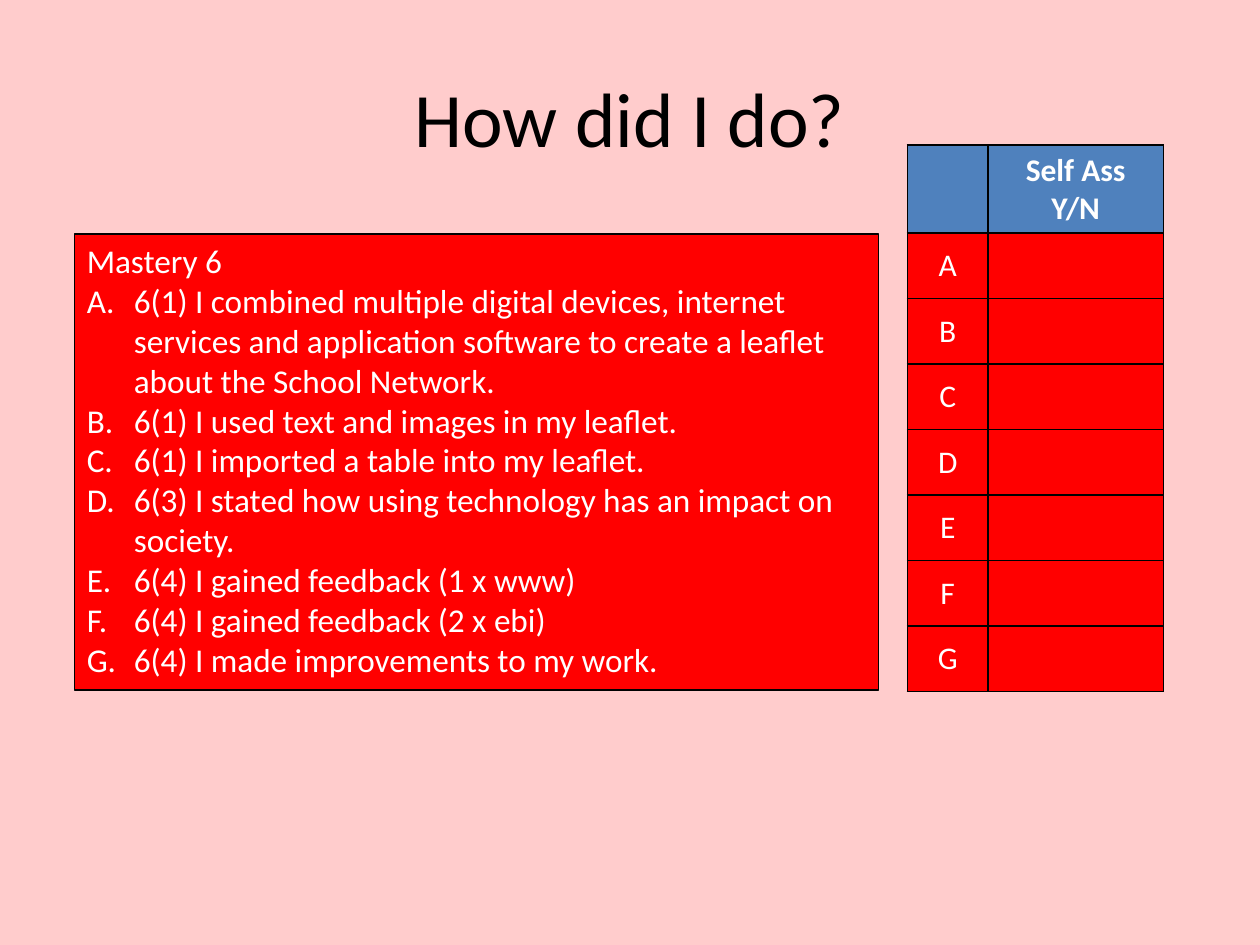
import dataclasses
from typing import Any

import lxml.etree
import pptx
import pptx.dml.color
import pptx.enum.shapes
import pptx.enum.text
import pptx.oxml.ns
import pptx.util

Cm = pptx.util.Cm
Pt = pptx.util.Pt
RGB = pptx.dml.color.RGBColor
ALIGN = pptx.enum.text.PP_ALIGN
ANCHOR = pptx.enum.text.MSO_ANCHOR

PINK = RGB(0xFF, 0xCC, 0xCC)
RED = RGB(0xFF, 0x00, 0x00)
BLUE = RGB(0x4F, 0x81, 0xBD)
WHITE = RGB(0xFF, 0xFF, 0xFF)
BLACK = RGB(0x00, 0x00, 0x00)
FACE = "Calibri"


@dataclasses.dataclass(frozen=True)
class Box:
    """Place and size in centimetres."""
    left: float
    top: float
    width: float
    height: float

    def emu(self) -> tuple:
        """Give the four lengths as Cm values."""
        return tuple(Cm(size) for size in dataclasses.astuple(self))


@dataclasses.dataclass(frozen=True)
class Goal:
    """One mastery statement with its level."""
    level: int
    text: str


TITLE = Box(1.27, 0.76, 22.86, 3.18)
PANEL = Box(1.5, 4.72, 16.21, 9.19)
GRID = Box(18.29, 2.92, 5.16, 10.97)
COLS = (1.63, 3.53)
HEAD, ROW = 1.73, 1.32
INDENT = Cm(0.95)
GOALS = (
    Goal(1, "I combined multiple digital devices, internet services and "
            "application software to create a leaflet about the School Network."),
    Goal(1, "I used text and images in my leaflet."),
    Goal(1, "I imported a table into my leaflet."),
    Goal(3, "I stated how using technology has an impact on society."),
    Goal(4, "I gained feedback (1 x www)"),
    Goal(4, "I gained feedback (2 x ebi)"),
    Goal(4, "I made improvements to my work."),
)


def style(item: Any, **values: Any) -> None:
    """Set each named attribute on the item."""
    for name, value in values.items():
        setattr(item, name, value)


def write(frame: Any, lines: list[str], align: Any, size: float,
          color: RGB, bold: bool = False) -> None:
    """Fill a text frame with one paragraph per line."""
    frame.text = "\n".join(lines)
    for para in frame.paragraphs:
        para.alignment = align
        for run in para.runs:
            style(run.font, name=FACE, size=Pt(size), bold=bold)
            run.font.color.rgb = color


def child(parent: Any, tag: str, **attrs: Any) -> Any:
    """Add a DrawingML element below the parent."""
    return lxml.etree.SubElement(
        parent, pptx.oxml.ns.qn(tag), {key: str(val) for key, val in attrs.items()})


def letter(para: Any) -> None:
    """Number a paragraph A., B., C. with a hanging indent."""
    props = para._p.get_or_add_pPr()
    props.set("marL", str(INDENT))
    props.set("indent", str(-INDENT))
    child(props, "a:buFont", typeface="+mj-lt")
    child(props, "a:buAutoNum", type="alphaUcPeriod")


def paint(cell: Any, fill: RGB) -> None:
    """Give a cell thin black borders and a solid fill."""
    props = cell._tc.get_or_add_tcPr()
    for side in ("a:lnL", "a:lnR", "a:lnT", "a:lnB"):
        line = child(props, side, w=Pt(1))
        child(child(line, "a:solidFill"), "a:srgbClr", val=BLACK)
    cell.fill.solid()
    cell.fill.fore_color.rgb = fill


def add_title(slide: Any) -> None:
    """Place and format the title."""
    title = slide.shapes.title
    style(title, **dict(zip(("left", "top", "width", "height"), TITLE.emu())))
    write(title.text_frame, ["How did I do?"], ALIGN.CENTER, 44, BLACK)
    title.text_frame.vertical_anchor = ANCHOR.MIDDLE


def add_panel(slide: Any) -> None:
    """Draw the red panel that lists the goals."""
    panel = slide.shapes.add_shape(
        pptx.enum.shapes.MSO_SHAPE.RECTANGLE, *PANEL.emu())
    panel.shadow.inherit = False
    panel.fill.solid()
    panel.fill.fore_color.rgb = RED
    panel.line.color.rgb = BLACK
    panel.line.width = Pt(0.75)
    frame = panel.text_frame
    lines = [f"6({goal.level}) {goal.text}" for goal in GOALS]
    write(frame, ["Mastery 6", *lines], ALIGN.LEFT, 19, WHITE)
    style(frame, word_wrap=True, vertical_anchor=ANCHOR.TOP,
          auto_size=pptx.enum.text.MSO_AUTO_SIZE.SHAPE_TO_FIT_TEXT)
    for para in frame.paragraphs[1:]:
        letter(para)


def add_grid(slide: Any) -> None:
    """Draw the table for self assessment."""
    count = len(GOALS)
    grid = slide.shapes.add_table(count + 1, len(COLS), *GRID.emu()).table
    for col, width in zip(grid.columns, COLS):
        col.width = Cm(width)
    for index, row in enumerate(grid.rows):
        row.height = Cm(ROW if index else HEAD)
        for cell in row.cells:
            paint(cell, RED if index else BLUE)
        if index:
            mark = row.cells[0]
            write(mark.text_frame, [chr(ord("A") + index - 1)],
                  ALIGN.CENTER, 18, WHITE)
            mark.vertical_anchor = ANCHOR.MIDDLE
    write(grid.cell(0, 1).text_frame, ["Self Ass", "Y/N"],
          ALIGN.CENTER, 18, WHITE, bold=True)


def main() -> None:
    """Build and save the slide."""
    deck = pptx.Presentation()
    style(deck, slide_width=Cm(25.4), slide_height=Cm(19.05))
    slide = deck.slides.add_slide(deck.slide_layouts.get_by_name("Title Only"))
    slide.background.fill.solid()
    slide.background.fill.fore_color.rgb = PINK
    add_title(slide)
    add_panel(slide)
    add_grid(slide)
    deck.save("out.pptx")


main()
